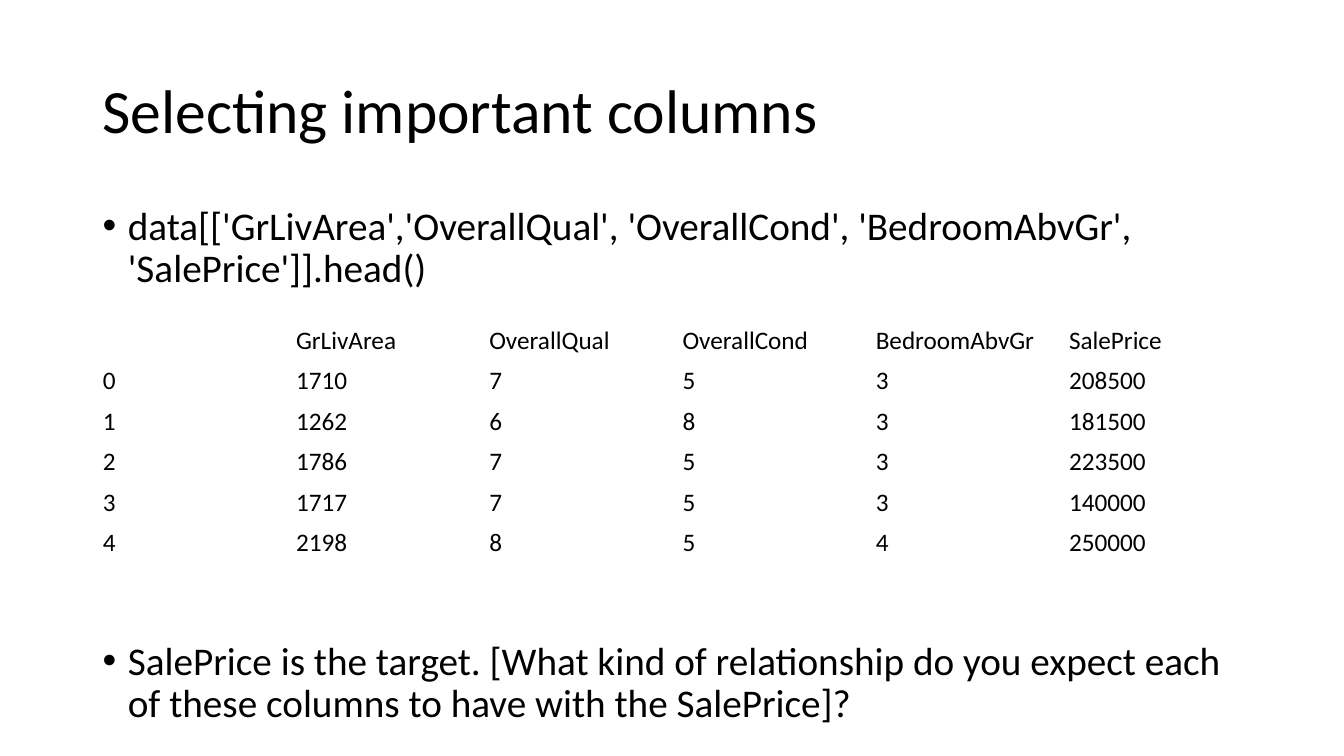
from lxml.etree import SubElement
from pptx import Presentation
from pptx.dml.color import RGBColor
from pptx.enum.text import MSO_ANCHOR
from pptx.oxml.ns import qn
from pptx.util import Inches, Pt

LEFT, WIDTH = 0.92, 11.5
BULLETS = [
    ("data[['GrLivArea','OverallQual', 'OverallCond', 'BedroomAbvGr', "
     "'SalePrice']].head()", 0),
    ("SalePrice is the target. [What kind of relationship do you expect each "
     "of these columns to have with the SalePrice]?", 250),
]
HOUSES = [
    ("", "GrLivArea", "OverallQual", "OverallCond", "BedroomAbvGr", "SalePrice"),
    (0, 1710, 7, 5, 3, 208500),
    (1, 1262, 6, 8, 3, 181500),
    (2, 1786, 7, 5, 3, 223500),
    (3, 1717, 7, 5, 3, 140000),
    (4, 2198, 8, 5, 4, 250000),
]


def color(code):
    return RGBColor.from_string(code)


def style(para, size):
    para.font.name = "Calibri"
    para.font.size = Pt(size)
    para.font.color.rgb = color("000000")


def add_box(slide, top, height, anchor):
    box = slide.shapes.add_textbox(
        Inches(LEFT), Inches(top), Inches(WIDTH), Inches(height))
    frame = box.text_frame
    frame.word_wrap = True
    frame.vertical_anchor = anchor
    return frame


def add_title(slide, text):
    para = add_box(slide, 0.4, 1.45, MSO_ANCHOR.MIDDLE).paragraphs[0]
    para.text = text
    para.line_spacing = 0.9
    style(para, 44)


def add_bullet(para, text, gap):
    para.text = text
    para.line_spacing = 0.9
    para.space_before = Pt(gap)
    props = para._p.get_or_add_pPr()
    props.set("marL", str(Inches(0.25)))
    props.set("indent", str(Inches(-0.25)))
    SubElement(props, qn("a:buFont"), typeface="Arial")
    SubElement(props, qn("a:buChar"), char="•")
    style(para, 28)


def add_body(slide, items):
    frame = add_box(slide, 2, 5.5, MSO_ANCHOR.TOP)
    for i, (text, gap) in enumerate(items):
        para = frame.add_paragraph() if i else frame.paragraphs[0]
        add_bullet(para, text, gap)


def add_grid(slide, rows):
    table = slide.shapes.add_table(
        len(rows), len(rows[0]), Inches(LEFT), Inches(3.18),
        Inches(WIDTH), Inches(2.4)).table
    table.first_row = False
    table.horz_banding = False
    for r, row in enumerate(rows):
        for c, value in enumerate(row):
            cell = table.cell(r, c)
            cell.fill.background()
            cell.vertical_anchor = MSO_ANCHOR.MIDDLE
            para = cell.text_frame.paragraphs[0]
            para.text = str(value)
            style(para, 18)


def main():
    deck = Presentation()
    deck.slide_width = Inches(13.33)
    deck.slide_height = Inches(7.5)
    slide = deck.slides.add_slide(deck.slide_layouts[6])
    add_title(slide, "Selecting important columns")
    add_body(slide, BULLETS)
    add_grid(slide, HOUSES)
    deck.save("out.pptx")


if __name__ == "__main__":
    main()
